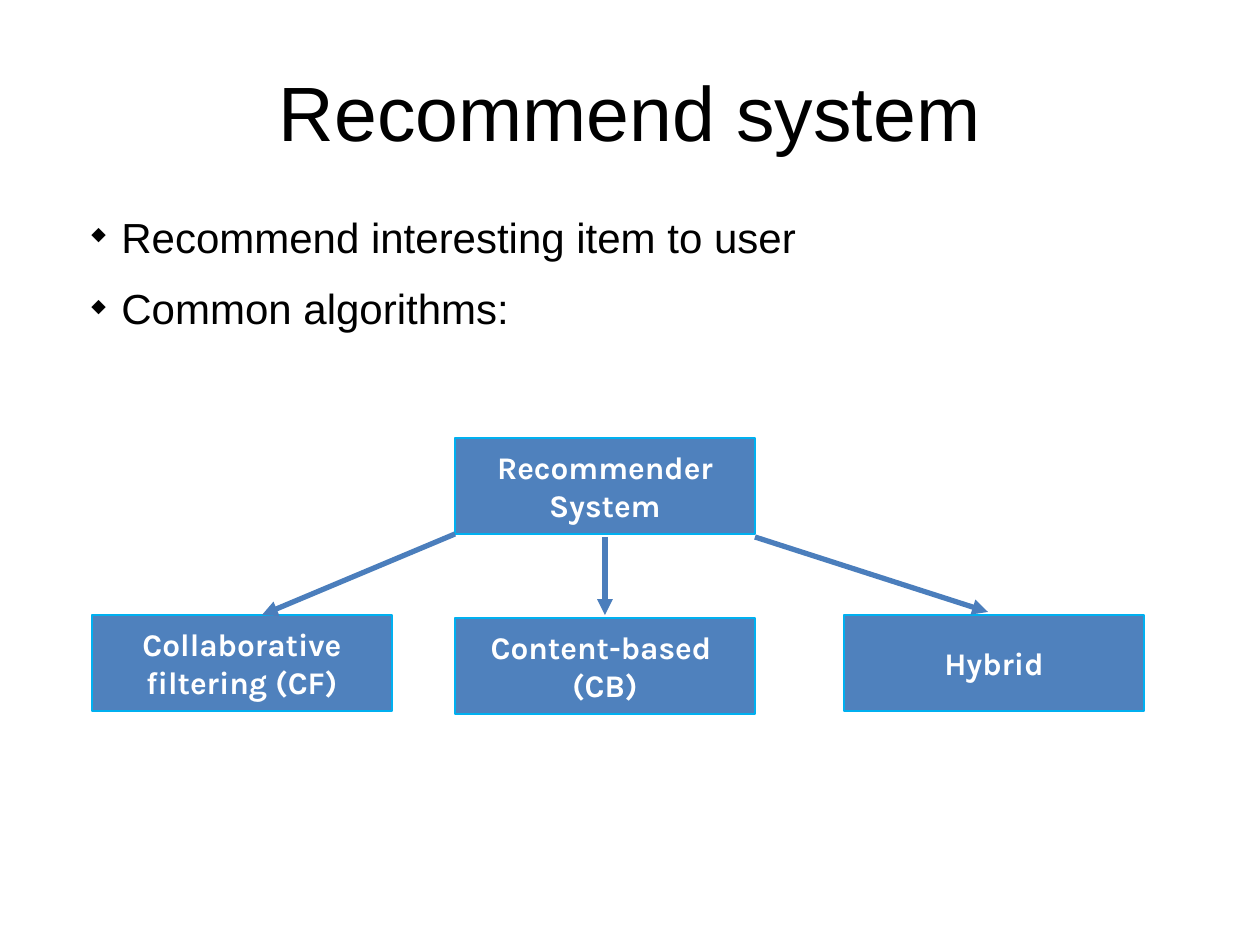
from lxml import etree
from pptx import Presentation
from pptx import util as u
from pptx.dml.color import RGBColor
from pptx.enum import shapes, text
from pptx.oxml.ns import qn

PX = 9144000 // 1260
TITLE = "Recommend system"
BULLETS = ["Recommend interesting item to user", "Common algorithms:"]
BOX_W, BOX_H = 300, 96
BOXES = [
    (455, 438, ["Recommender System"]),
    (92, 615, ["Collaborative filtering (CF)"]),
    (455, 618, ["Content-based ", "(CB)"]),
    (844, 615, ["Hybrid"]),
]
ARROWS = [
    (455, 534, 262, 615),
    (605, 537, 605, 615),
    (755, 537, 988, 612),
]


def px(*values):
    return [u.Emu(v * PX) for v in values]


def rgb(value):
    return RGBColor.from_string(value)


def add_run(p, words, font, size, color, bold=False):
    r = p.add_run()
    r.text = words
    r.font.name, r.font.size, r.font.bold = font, u.Pt(size), bold
    r.font.color.rgb = rgb(color)


def add_title(s):
    sp = s.shapes.title
    sp.left, sp.top, sp.width, sp.height = px(63, 38, 1134, 157)
    tf = sp.text_frame
    tf.margin_left = tf.margin_top = tf.margin_right = tf.margin_bottom = 0
    tf.vertical_anchor = text.MSO_ANCHOR.MIDDLE
    p = tf.paragraphs[0]
    p.alignment, p.line_spacing = text.PP_ALIGN.CENTER, 0.9
    add_run(p, TITLE, "Arial", 44, "000000")


def add_bullets(s):
    tf = s.shapes.add_textbox(*px(50, 205, 1159, 309)).text_frame
    tf.word_wrap = True
    for i, words in enumerate(BULLETS):
        p = tf.add_paragraph() if i else tf.paragraphs[0]
        p.space_before = p.space_after = u.Pt(6)
        pPr = p._p.get_or_add_pPr()
        pPr.set("marL", str(59 * PX))
        pPr.set("indent", str(-30 * PX))
        color = etree.SubElement(pPr, qn("a:buClr"))
        etree.SubElement(color, qn("a:srgbClr"), val="000000")
        etree.SubElement(pPr, qn("a:buSzPct"), val="45000")
        etree.SubElement(pPr, qn("a:buChar"), char="◆")
        add_run(p, words, "Arial", 24, "000000")


def add_box(s, x, y, lines):
    sp = s.shapes.add_shape(shapes.MSO_SHAPE.RECTANGLE, *px(x, y, BOX_W, BOX_H))
    sp.shadow.inherit = False
    sp.fill.solid()
    sp.fill.fore_color.rgb = rgb("4F81BD")
    sp.line.color.rgb, sp.line.width = rgb("00B0F0"), u.Pt(1)
    tf = sp.text_frame
    tf.word_wrap, tf.vertical_anchor = True, text.MSO_ANCHOR.MIDDLE
    p = tf.paragraphs[0]
    p.alignment = text.PP_ALIGN.CENTER
    for i, words in enumerate(lines):
        if i:
            p.add_line_break()
        add_run(p, words, "Karla", 18, "FFFFFF", True)


def add_arrow(s, *ends):
    c = s.shapes.add_connector(shapes.MSO_CONNECTOR.STRAIGHT, *px(*ends))
    c.line.color.rgb, c.line.width = rgb("4B7EBC"), u.Pt(3)
    etree.SubElement(c.line._get_or_add_ln(), qn("a:tailEnd"), type="triangle")
    etree.SubElement(c._element.spPr, qn("a:effectLst"))


def main():
    prs = Presentation()
    prs.slide_width, prs.slide_height = px(1260, 945)
    s = prs.slides.add_slide(prs.slide_layouts[5])
    add_title(s)
    add_bullets(s)
    for box in BOXES:
        add_box(s, *box)
    for arrow in ARROWS:
        add_arrow(s, *arrow)
    prs.save("out.pptx")


if __name__ == "__main__":
    main()
